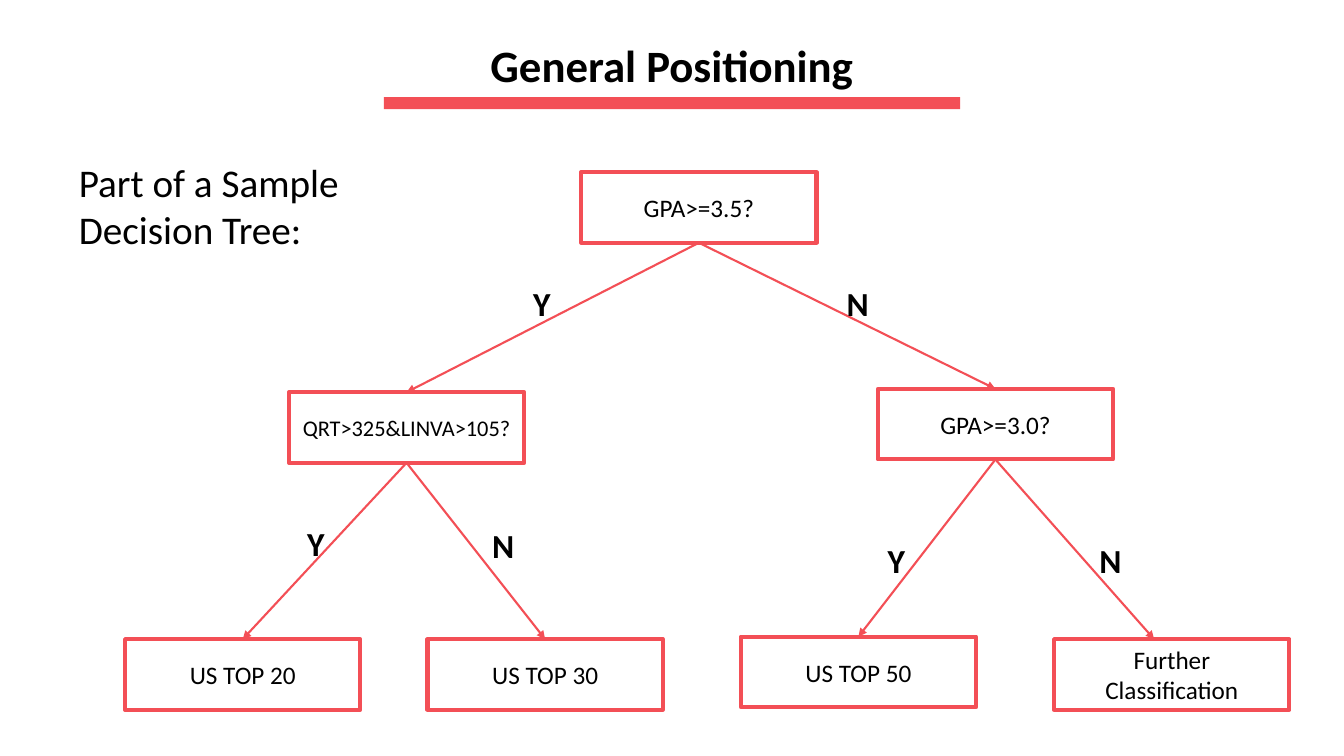
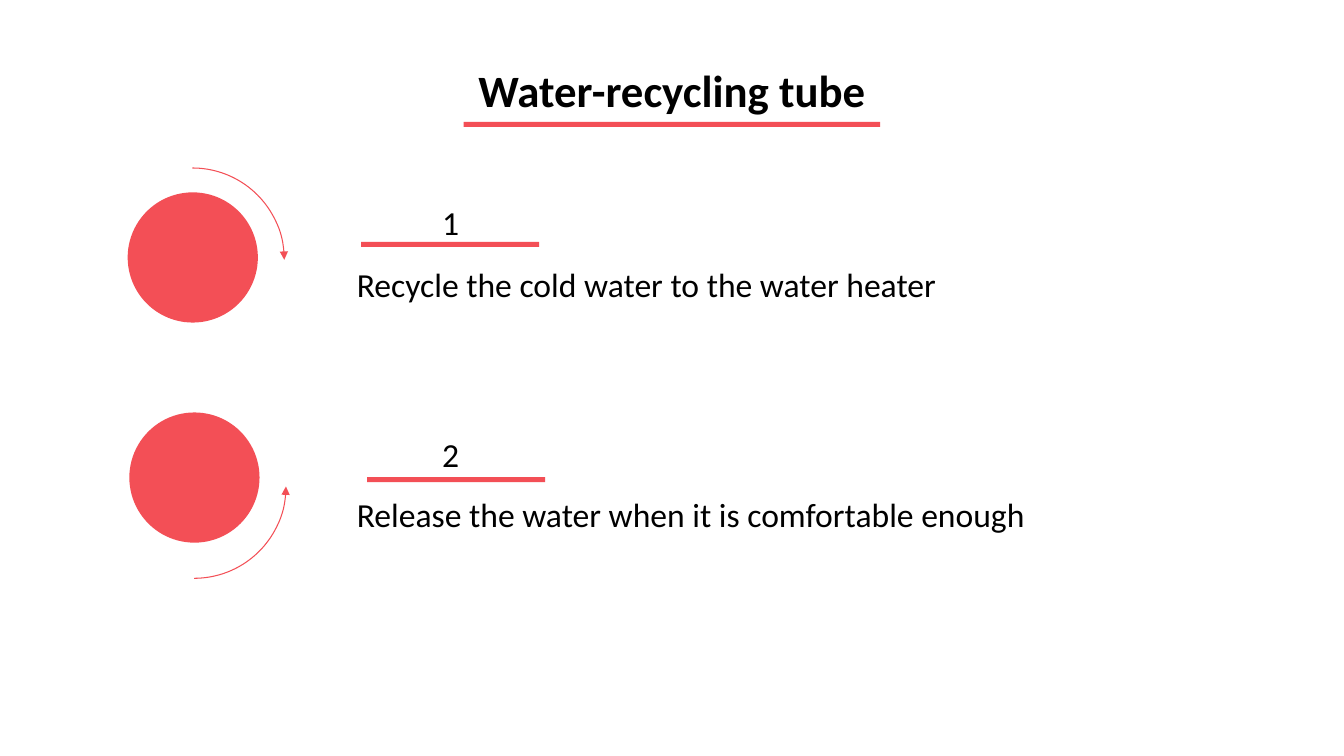
from lxml import etree
from pptx import Presentation
from pptx import util as u
from pptx.dml.color import RGBColor
from pptx.enum import shapes, text
from pptx.oxml.ns import qn

RED = RGBColor(0xF3, 0x4F, 0x56)
BLACK = RGBColor(0, 0, 0)
KIND = shapes.MSO_SHAPE
LEFT, MID = text.PP_ALIGN.LEFT, text.PP_ALIGN.CENTER

deck = Presentation()
deck.slide_width, deck.slide_height = u.Inches(13.33), u.Inches(7.5)
COL, ROW = deck.slide_width / 160, deck.slide_height / 90


def draw(slide, kind, x, y, w, h, fill=None, line=None):
    """Add a shape, or a text box if kind is None, at grid columns and rows."""
    area = [round(n) for n in (x * COL, y * ROW, w * COL, h * ROW)]
    if kind is None:
        return slide.shapes.add_textbox(*area)
    form = slide.shapes.add_shape(kind, *area)
    form.shadow.inherit = False
    if fill:
        form.fill.solid()
        form.fill.fore_color.rgb = fill
    else:
        form.fill.background()
    if line:
        form.line.color.rgb = RED
        form.line.width = u.Pt(line)
    else:
        form.line.fill.background()
    return form


def write(form, words, size, align=LEFT, bold=False):
    frame = form.text_frame
    frame.text = words
    frame.word_wrap = True
    frame.vertical_anchor = text.MSO_ANCHOR.MIDDLE
    para = frame.paragraphs[0]
    para.alignment = align
    font = para.font
    font.name, font.size, font.bold = "Calibri", u.Pt(size), bold
    font.color.rgb = BLACK


# Titles: words, rule top, rule width, rule height
TITLE = 7.7
pages = []
for words, top, wide, high in [
    ("General Positioning", 11.55, 68.6, 1.45),
    ("Water-recycling tube", 14.5, 49.6, 0.6),
]:
    page = deck.slides.add_slide(deck.slide_layouts[5])
    left = 80 - wide / 2
    draw(page, KIND.RECTANGLE, left, top, wide, high, fill=RED)
    head = page.shapes.title
    head.left, head.top = round(left * COL), round((top - TITLE) * ROW)
    head.width, head.height = round(wide * COL), round(TITLE * ROW)
    write(head, words, 32, MID, True)
    pages.append(page)
tree, tube = pages
heads = []

# Decision tree: node centre, top, words, size
WIDE, HIGH = 28, 8.4
nodes = {}
for name, mid, top, words, size in [
    ("root", 83.2, 20.5, "GPA>=3.5?", 18),
    ("yes", 48.4, 46.7, "QRT>325&LINVA>105?", 16),
    ("no", 118.5, 46.3, "GPA>=3.0?", 18),
    ("top20", 28.9, 76.1, "US TOP 20", 18),
    ("top30", 64.9, 76.1, "US TOP 30", 18),
    ("top50", 102.2, 75.8, "US TOP 50", 18),
    ("more", 139.5, 76.1, "Further Classification", 18),
]:
    node = draw(tree, KIND.RECTANGLE, mid - WIDE / 2, top, WIDE, HIGH, line=3)
    write(node, words, size, MID)
    node.text_frame.margin_top = node.text_frame.margin_bottom = 0
    nodes[name] = node

# Wider side margins break the longest answer into two lines
frame = nodes["more"].text_frame
frame.margin_left = frame.margin_right = round(2.4 * COL)

# Branches: parent, child, answer, answer's column and row
for start, end, word, x, y in [
    ("root", "yes", "Y", 62.3, 33.1),
    ("root", "no", "N", 99.6, 33.1),
    ("yes", "top20", "Y", 35.4, 61.7),
    ("yes", "top30", "N", 57.4, 61.9),
    ("no", "top50", "Y", 104.5, 63.7),
    ("no", "more", "N", 129.7, 63.7),
]:
    goal = nodes[end]
    link = tree.shapes.add_connector(
        shapes.MSO_CONNECTOR.STRAIGHT, 0, 0, round(137.4 * COL), goal.top)
    link.begin_connect(nodes[start], 2)
    if end != "more":  # this arrow lands left of the middle
        link.end_connect(goal, 0)
    link.line.color.rgb = RED
    link.line.width = u.Pt(1.5)
    etree.SubElement(link._element.spPr, qn("a:effectLst"))
    heads.append(link)
    write(draw(tree, None, x, y, 5.2, 6), word, 24, bold=True)

write(draw(tree, None, 8.2, 18.2, 47.6, 12.5), "Part of a Sample Decision Tree:", 28)

# Steps: arc, disc, number, rule and words
ARC, DISC = 21.85, 15.5
for num, words, x, arc, disc, label, rule, left, line in [
    ("1", "Recycle the cold water to the water heater",
     12, 20, 22.9, 23.4, 28.8, 43, 30.8),
    ("2", "Release the water when it is comfortable enough",
     12.2, 47, 49.1, 51, 56.8, 43.7, 58.2),
]:
    bow = draw(tube, KIND.ARC, x, arc, ARC, ARC, line=0.75)
    if num == "2":
        bow._element.spPr.find(qn("a:xfrm")).set("flipV", "1")
    heads.append(bow)
    draw(tube, KIND.FLOWCHART_CONNECTOR, x + 3.2, disc, DISC, DISC, fill=RED)
    write(draw(tube, None, 51.3, label, 4.7, 6), num, 24, MID)
    draw(tube, KIND.RECTANGLE, left, rule, 21.2, 0.6, fill=RED)
    write(draw(tube, None, 41.3, line, 111, 6), words, 24)

for item in heads:
    edge = item._element.spPr.find(qn("a:ln"))
    etree.SubElement(edge, qn("a:tailEnd"), type="triangle")

deck.save("out.pptx")
